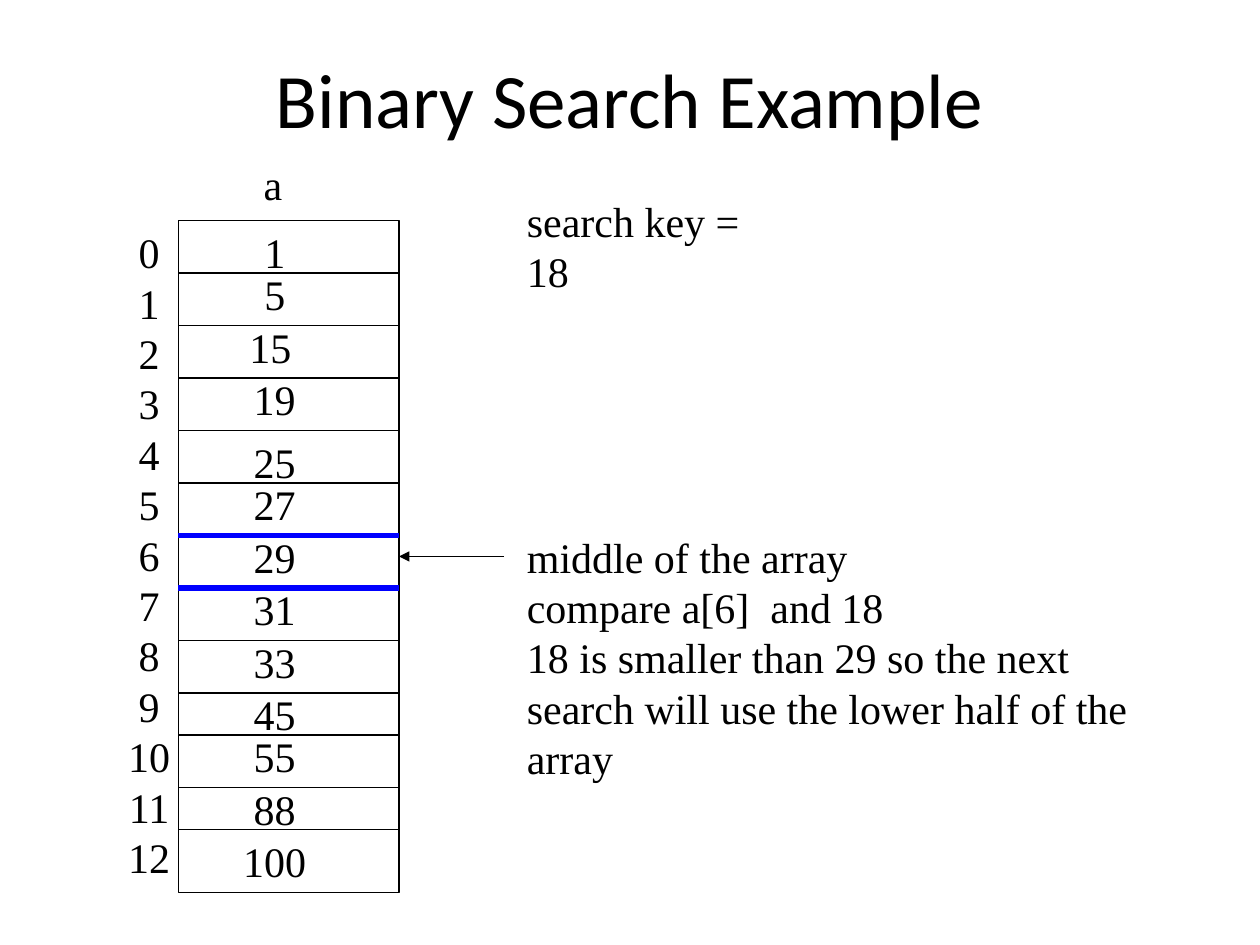
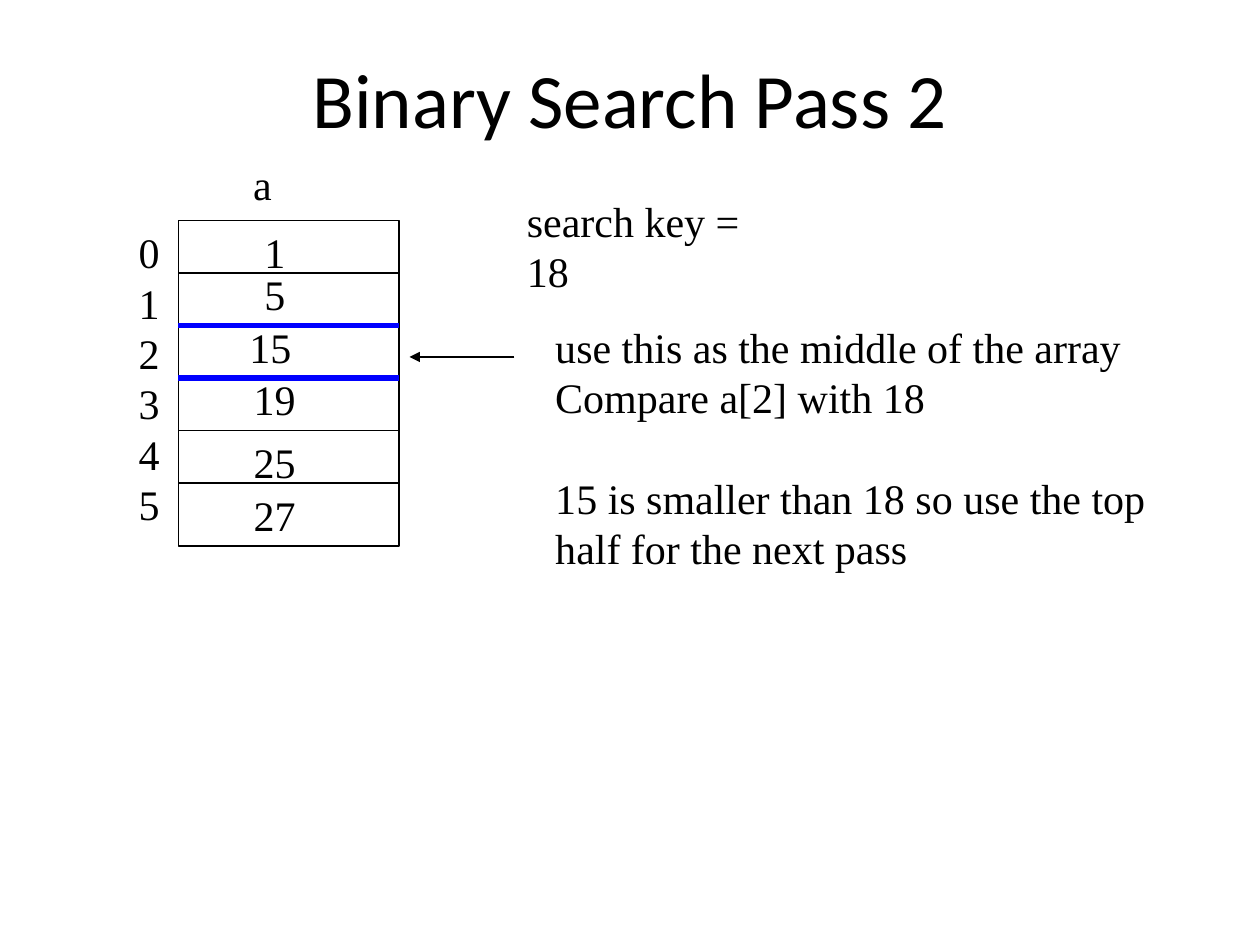
from pptx import Presentation
from pptx.dml.color import RGBColor
from pptx.enum.shapes import MSO_CONNECTOR, MSO_SHAPE
from pptx.enum.text import MSO_ANCHOR, PP_ALIGN
from pptx.oxml.ns import qn
from pptx.util import Pt
from lxml.etree import SubElement

BLACK = RGBColor(0, 0, 0)
BLUE = RGBColor(0, 0, 255)
BODY, HEAD = "Times New Roman", "Calibri"
SIZE, LEAD = 24, 28.8

# Edges of the array rows
LEFT, RIGHT = 102, 228
TOPS = [126, 156, 186, 216, 246, 276, 306, 336, 366, 396, 420, 450, 474, 510]

PASSES = [
    dict(title="Binary Search Example",
         cells=[1, 5, 15, 19, 25, 27, 29, 31, 33, 45, 55, 88, 100],
         end=510, mid=6, name=156, index=85.2, arrow=(288, 228, 318),
         note=(294, 300, 412), gap=None,
         lines=["middle of the array", "compare a[6]  and 18",
                "18 is smaller than 29 so the next",
                "search will use the lower half of the array"]),
    dict(title="Binary Search Pass 2",
         cells=[1, 5, 15, 19, 25, 27],
         end=312, mid=2, name=150, index=85.2, arrow=(294, 234, 204),
         note=(310.2, 180, 358), gap=2,
         lines=["use this as the middle of the array", "Compare a[2] with 18",
                "15 is smaller than 18 so use the top",
                "half for the next pass"]),
]


def add_text(slide, left, top, width, lines, align=PP_ALIGN.LEFT, gap=None):
    height = 7.2 + LEAD * (len(lines) + (gap is not None))
    box = slide.shapes.add_textbox(Pt(left), Pt(top), Pt(width), Pt(height))
    frame = box.text_frame
    frame.word_wrap = False
    frame.text = "\n".join(lines)
    for i, para in enumerate(frame.paragraphs):
        para.alignment = align
        para.line_spacing = Pt(LEAD)
        if i == gap:
            para.space_before = Pt(LEAD)
        font = para.runs[0].font
        font.name, font.size = BODY, Pt(SIZE)
        font.color.rgb = BLACK


def add_line(slide, start, end, y, color=BLACK, width=0.75):
    line = slide.shapes.add_connector(
        MSO_CONNECTOR.STRAIGHT, Pt(start), Pt(y), Pt(end), Pt(y))
    line.line.color.rgb = color
    line.line.width = Pt(width)
    SubElement(line._element.spPr, qn("a:effectLst"))
    return line


deck = Presentation()
deck.slide_width, deck.slide_height = Pt(720), Pt(540)

for step in PASSES:
    slide = deck.slides.add_slide(deck.slide_layouts[5])
    cells, mid = step["cells"], step["mid"]

    # Title
    title = slide.shapes.title
    title.left, title.top = Pt(36), Pt(21.6)
    title.width, title.height = Pt(648), Pt(68.4)
    title.text_frame.text = step["title"]
    title.text_frame.vertical_anchor = MSO_ANCHOR.MIDDLE
    para = title.text_frame.paragraphs[0]
    para.alignment = PP_ALIGN.CENTER
    font = para.runs[0].font
    font.name, font.size = HEAD, Pt(44)
    font.color.rgb = BLACK

    # Array frame and row lines, with the middle row in blue
    frame = slide.shapes.add_shape(
        MSO_SHAPE.RECTANGLE, Pt(LEFT), Pt(TOPS[0]),
        Pt(RIGHT - LEFT), Pt(step["end"] - TOPS[0]))
    frame.shadow.inherit = False
    frame.fill.background()
    frame.line.color.rgb = BLACK
    frame.line.width = Pt(0.75)
    for row in range(1, len(cells)):
        if row in (mid, mid + 1):
            add_line(slide, LEFT, RIGHT, TOPS[row], BLUE, 3)
        else:
            add_line(slide, LEFT, RIGHT, TOPS[row])

    # Values: most sit slightly above their row
    for row, cell in enumerate(cells):
        lift = 0 if row in (0, 4, len(cells) - 1) else 6
        width = 14.4 + 12 * len(str(cell))
        center = 154.5 if cell == 15 else 157
        add_text(slide, center - width / 2, TOPS[row] - lift, width,
                 [str(cell)], PP_ALIGN.CENTER)

    # Index column and array name
    add_text(slide, step["index"] - 19.2, TOPS[0], 38.4,
             [str(i) for i in range(len(cells))], PP_ALIGN.CENTER)
    add_text(slide, step["name"] - 12.6, 87, 25.2, ["a"], PP_ALIGN.CENTER)

    # Arrow to the middle row
    arrow = add_line(slide, *step["arrow"])
    SubElement(arrow.line._get_or_add_ln(), qn("a:tailEnd"), type="triangle")

    # Search key and notes
    add_text(slide, 294, 108, 165.6, ["search key = 18"])
    left, top, width = step["note"]
    add_text(slide, left, top, width, step["lines"], gap=step["gap"])

deck.save("out.pptx")
